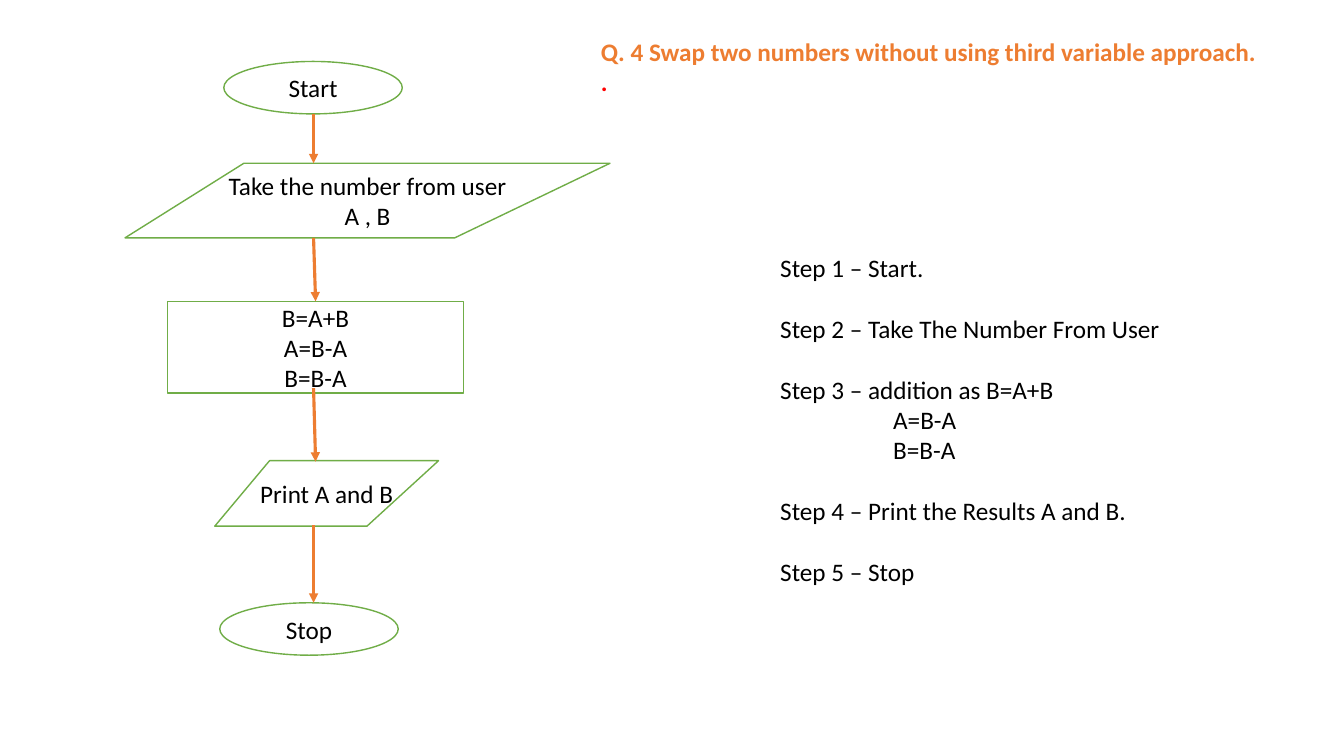
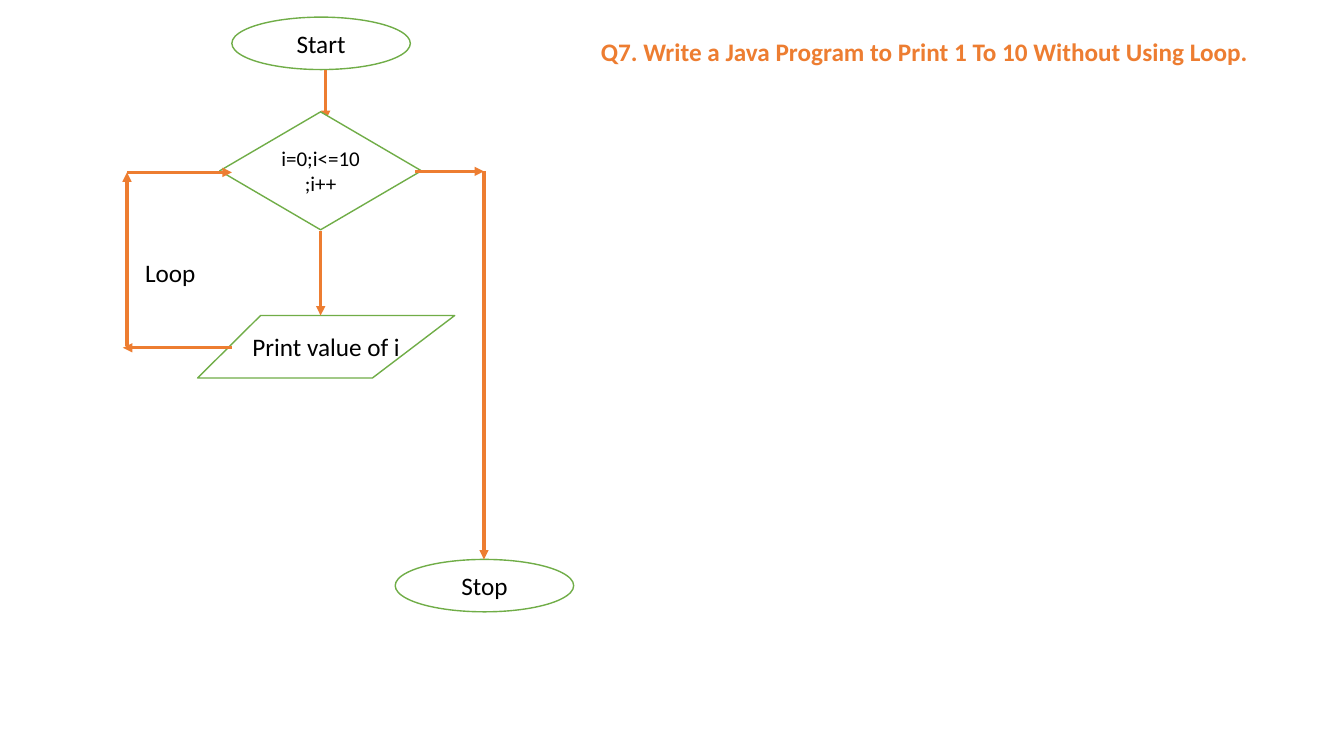
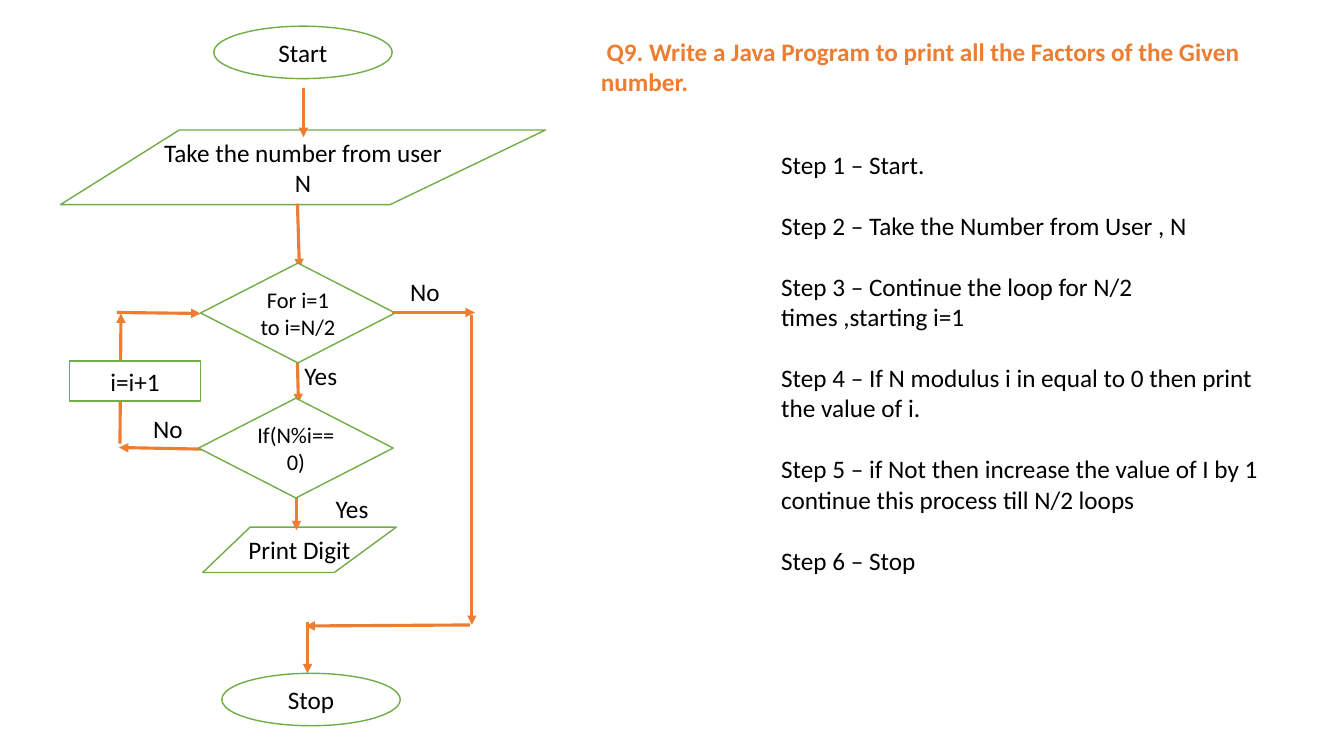
from lxml import etree
from pptx import Presentation
from pptx.dml.color import RGBColor
from pptx.enum.shapes import MSO_CONNECTOR, MSO_SHAPE
from pptx.enum.text import MSO_ANCHOR, MSO_AUTO_SIZE, PP_ALIGN
from pptx.oxml.ns import qn
from pptx.util import Inches, Pt

STRAIGHT = MSO_CONNECTOR.STRAIGHT
PRESETS = {"oval": MSO_SHAPE.OVAL, "box": MSO_SHAPE.RECTANGLE, "diamond": MSO_SHAPE.DIAMOND}
LEFT, CENTER = PP_ALIGN.LEFT, PP_ALIGN.CENTER
TOP, MIDDLE = MSO_ANCHOR.TOP, MSO_ANCHOR.MIDDLE
FIXED = MSO_AUTO_SIZE.NONE

ORANGE, GREEN, BLACK, WHITE, RED = "ED7D31", "70AD47", "000000", "FFFFFF", "FF0000"
OVAL = (1.77, 0.52)
LABEL = (0.73, 0.4)
CHOICE = (1.93, 0.99)
# Where the slanted sides of an input/output block meet its top and bottom edges
SLANT_TOP, SLANT_END = 0.245, 0.68

# Items run from back to front:
#   ("arrow", from x, from y, to x, to y)
#   (kind, left, top, (width, height), text, size)
SLIDES = [
    {
        "title": "Q. 4 Swap two numbers without using third variable approach.\n.",
        "height": 1.01,
        "items": [
            ("oval", 2.22, 0.61, OVAL, "Start", 18),
            ("slant", 1.24, 1.62, (4.81, 0.74), "Take the number from user\nA , B", 18),
            ("box", 1.66, 2.99, (2.94, 0.91), "B=A+B\nA=B-A\nB=B-A", 18),
            ("slant", 2.13, 4.57, (2.22, 0.65), "Print A and B", 18),
            ("oval", 2.18, 5.98, OVAL, "Stop", 18),
            ("arrow", 3.11, 1.13, 3.11, 1.62),
            ("arrow", 3.11, 2.36, 3.13, 2.99),
            ("arrow", 3.11, 3.85, 3.13, 4.58),
            ("arrow", 3.11, 5.21, 3.11, 5.98),
        ],
        "place": (7.64, 2.45, 5.16, 3.74),
        "steps": [
            "Step 1 – Start.",
            "Step 2 – Take The Number From User",
            "Step 3 – addition as B=A+B",
            "A=B-A",
            "B=B-A",
            "Step 4 – Print the Results A and B.",
            "Step 5 – Stop",
        ],
    },
    {
        "title": "Q7. Write a Java Program to Print 1 To 10 Without Using Loop.",
        "height": 0.4,
        "items": [
            ("oval", 2.3, 0.17, OVAL, "Start", 18),
            ("slant", 1.96, 3.13, (2.55, 0.62), "Print value of i", 18),
            ("oval", 3.92, 5.55, OVAL, "Stop", 18),
            ("arrow", 3.23, 0.69, 3.23, 1.19),
            ("arrow", 4.8, 1.7, 4.8, 5.55),
            ("diamond", 2.18, 1.11, (2, 1.17), "i=0;i<=10;i++", 15),
            ("arrow", 3.18, 2.29, 3.18, 3.13),
            ("arrow", 2.3, 3.45, 1.22, 3.45),
            ("arrow", 1.26, 3.43, 1.26, 1.71),
            ("arrow", 1.26, 1.71, 2.3, 1.71),
            ("arrow", 4.12, 1.7, 4.8, 1.7),
            ("label", 1.34, 2.5, LABEL, "Loop", 18),
        ],
        "steps": [],
    },
    {
        "title": " Q9. Write a Java Program to print all the Factors of the Given number.",
        "height": 1.31,
        "items": [
            ("oval", 2.12, 0.26, OVAL, "Start", 18),
            ("slant", 0.6, 1.29, (4.81, 0.74), "Take the number from user\nN", 18),
            ("slant", 2.01, 5.23, (1.92, 0.45), "Print Digit", 18),
            ("oval", 2.2, 6.68, OVAL, "Stop", 18),
            ("arrow", 3.01, 0.87, 3.01, 1.36),
            ("arrow", 2.95, 2.02, 2.97, 2.66),
            ("arrow", 1.16, 3.1, 1.99, 3.11),
            ("arrow", 1.19, 4.4, 1.2, 3.11),
            ("diamond", 1.99, 2.61, CHOICE, "For i=1 to i=N/2", 16),
            ("arrow", 3.89, 3.1, 4.71, 3.1),
            ("arrow", 2.24, 4.46, 1.18, 4.44),
            ("arrow", 4.66, 6.2, 3.03, 6.21),
            ("arrow", 4.68, 3.13, 4.68, 6.2),
            ("arrow", 3.05, 6.17, 3.05, 6.68),
            ("arrow", 2.95, 3.6, 2.96, 4),
            ("arrow", 2.94, 4.94, 2.94, 5.26),
            ("diamond", 1.97, 3.95, CHOICE, "If(N%i==0)", 16),
            ("box", 0.69, 3.58, (1.3, 0.4), "i=i+1", 18),
            ("label", 2.92, 3.53, LABEL, "Yes", 18),
            ("label", 3.97, 2.69, LABEL, "No", 18),
            ("label", 3.23, 4.84, LABEL, "Yes", 18),
            ("label", 1.42, 4.05, LABEL, "No", 18),
        ],
        "place": (7.65, 1.43, 5.16, 5.55),
        "steps": [
            "Step 1 – Start.",
            "Step 2 – Take the Number from User , N",
            "Step 3 – Continue the loop for N/2 times ,starting i=1",
            "Step 4 – If N modulus i in equal to 0 then print the value of i.",
            "Step 5 – if Not then increase the value of I by 1 continue this process till N/2 loops",
            "Step 6 – Stop",
        ],
    },
]


def tint(color, code):
    """Give a colour format the colour of a hex string."""
    color.rgb = RGBColor.from_string(code)


def write(frame, text, size=18, code=BLACK, bold=False, align=LEFT, anchor=TOP):
    frame.text = text
    look = {"word_wrap": True, "auto_size": FIXED, "vertical_anchor": anchor}
    for key, val in look.items():
        setattr(frame, key, val)
    for para in frame.paragraphs:
        para.alignment = align
        for run in para.runs:
            for key, val in {"name": "Calibri", "size": Pt(size), "bold": bold}.items():
                setattr(run.font, key, val)
            tint(run.font.color, code)


deck = Presentation()
deck.slide_width, deck.slide_height = Inches(13.33), Inches(7.5)

for page in SLIDES:
    slide = deck.slides.add_slide(deck.slide_layouts[5])
    shapes = slide.shapes
    title = shapes.title
    spot = {"left": 5.86, "top": 0.31, "width": 7.43, "height": page["height"]}
    for key, val in spot.items():
        setattr(title, key, Inches(val))
    write(title.text_frame, page["title"], code=ORANGE, bold=True)
    for para in title.text_frame.paragraphs[1:]:
        tint(para.runs[0].font.color, RED)

    for kind, *data in page["items"]:
        if kind == "arrow":
            line = shapes.add_connector(STRAIGHT, *map(Inches, data))
            line.line.width = Pt(2.25)
            tint(line.line.color, ORANGE)
            etree.SubElement(line.line._get_or_add_ln(), qn("a:tailEnd"), type="triangle")
            etree.SubElement(line._element.spPr, qn("a:effectLst"))
            continue

        x, y, (w, h), text, size = data
        area = [Inches(val) for val in (x, y, w, h)]
        if kind == "label":
            write(shapes.add_textbox(*area).text_frame, text, size)
            continue

        if kind == "slant":
            pen = shapes.build_freeform(Inches(x + SLANT_TOP * w), Inches(y))
            ends = [(x + w, y), (x + SLANT_END * w, y + h), (x, y + h)]
            pen.add_line_segments([(Inches(a), Inches(b)) for a, b in ends], close=True)
            block = pen.convert_to_shape()
        else:
            block = shapes.add_shape(PRESETS[kind], *area)
        block.shadow.inherit = False
        block.fill.solid()
        tint(block.fill.fore_color, WHITE)
        tint(block.line.color, GREEN)
        block.line.width = Pt(1)
        write(block.text_frame, text, size, align=CENTER, anchor=MIDDLE)

    if page["steps"]:
        frame = shapes.add_textbox(*map(Inches, page["place"])).text_frame
        write(frame, "\n".join(page["steps"]))
        for para in frame.paragraphs[1:]:
            if para.text.startswith("Step"):
                para.space_before = Pt(22)
            else:
                para._p.get_or_add_pPr().set("marL", str(Inches(1.12)))

deck.save("out.pptx")
